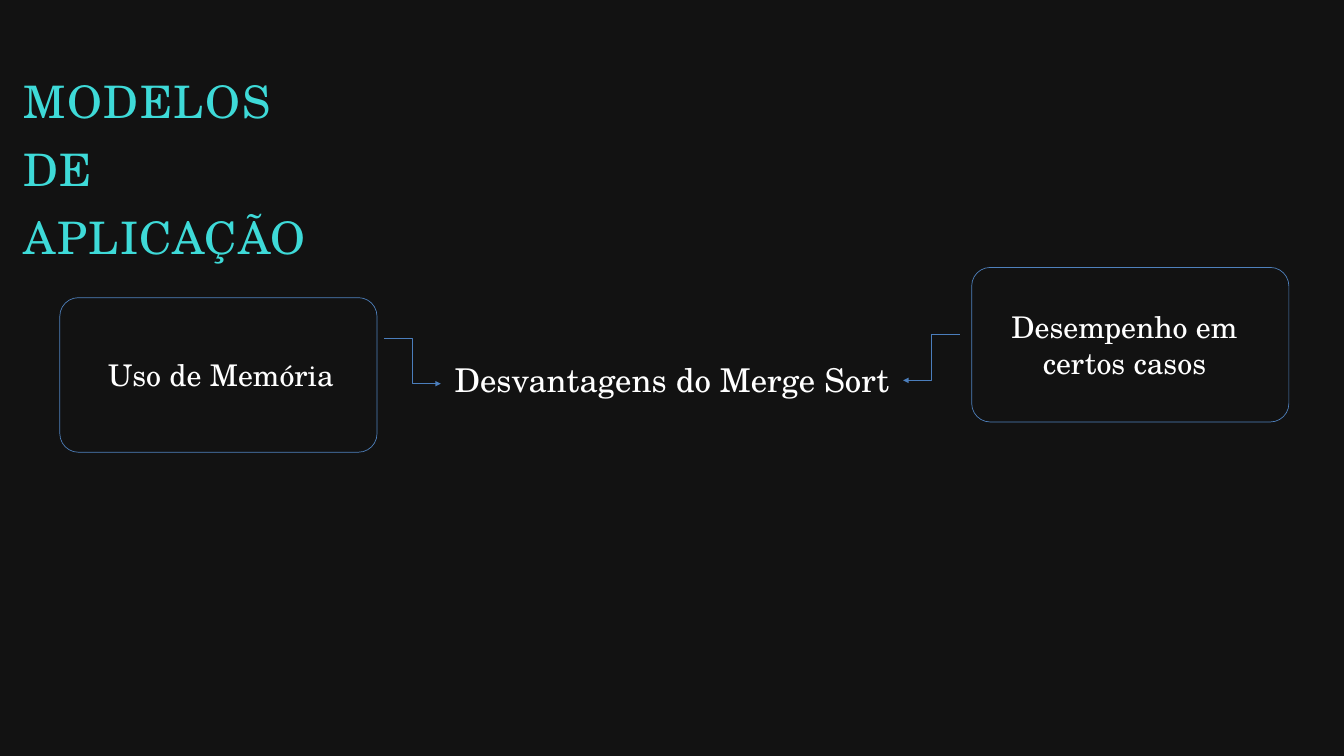
from lxml.etree import SubElement as Sub
from pptx import Presentation as Deck
from pptx.dml.color import RGBColor as Color
from pptx.enum.shapes import MSO_CONNECTOR as Link, MSO_SHAPE as Form
from pptx.enum.text import MSO_ANCHOR as Anchor, MSO_AUTO_SIZE as Fit, PP_ALIGN as Align
from pptx.oxml.ns import qn
from pptx.util import Inches, Pt

DARK = Color(0x12, 0x12, 0x12)
CYAN = Color(0x3E, 0xDA, 0xD8)
WHITE = Color(0xFF, 0xFF, 0xFF)
BLUE = Color(0x4F, 0x81, 0xBD)
STEEL = Color(0x4B, 0x7E, 0xBC)
FACE = "TeX Gyre Schola"

BARE = dict.fromkeys(("margin_left", "margin_top", "margin_right", "margin_bottom"), 0)
CARDS = [
    ((0.89, 4.43), (1.51, 5.26, 3.56, 0.64), "Uso de Memória", Align.LEFT),
    ((14.46, 3.98), (14.57, 4.54, 4.33, 1.18), "Desempenho em certos casos", Align.CENTER),
]
ARROWS = [(5.72, 5.03, 6.56, 5.71), (14.28, 4.98, 13.44, 5.66)]


def apply(item, vals):
    """Set each named value on the item."""
    for name, val in vals.items():
        setattr(item, name, val)


def write(shape, text, size, color, align, frame=None, lead=None):
    """Fill a shape with one formatted paragraph."""
    box = shape.text_frame
    apply(box, {"word_wrap": True, "auto_size": Fit.NONE,
                "vertical_anchor": Anchor.TOP, **(frame or {})})
    para = box.paragraphs[0]
    apply(para, {"alignment": align, "line_spacing": lead})
    run = para.add_run()
    run.text = text
    apply(run.font, {"name": FACE, "size": Pt(size), "bold": False})
    run.font.color.rgb = color
    return run


def title(slide):
    """Place the spaced heading in the title placeholder."""
    head = slide.shapes.title
    spot = zip(("left", "top", "width", "height"), (0.35, 0.88, 4.54, 1.99))
    apply(head, {name: Inches(val) for name, val in spot})
    run = write(head, "MODELOS DE APLICAÇÃO", 48, CYAN, Align.LEFT, BARE, Pt(73.1))
    run.font._element.set("spc", "170")


def label(slide, spot, *args):
    """Add a text box with one paragraph."""
    write(slide.shapes.add_textbox(*map(Inches, spot)), *args)


def card(slide, spot):
    """Add an outlined rounded box."""
    shape = slide.shapes.add_shape(
        Form.ROUNDED_RECTANGLE, *map(Inches, (*spot, 4.72, 2.3)))
    shape.adjustments[0] = 0.12
    shape.shadow.inherit = False
    shape.fill.background()
    shape.line.color.rgb = BLUE
    shape.line.width = Pt(0.75)


def arrow(slide, ends):
    """Add an elbow connector with an arrowhead."""
    link = slide.shapes.add_connector(Link.ELBOW, *map(Inches, ends))
    link.line.color.rgb = STEEL
    link.line.width = Pt(0.75)
    Sub(link.line._get_or_add_ln(), qn("a:tailEnd"), type="triangle")
    Sub(link._element.spPr, qn("a:effectLst"))


def main():
    """Build and save the slide."""
    deck = Deck()
    apply(deck, {"slide_width": Inches(20), "slide_height": Inches(11.25)})
    slide = deck.slides.add_slide(deck.slide_layouts[5])
    fill = slide.background.fill
    fill.solid()
    fill.fore_color.rgb = DARK
    label(slide, (6.74, 5.25, 6.52, 0.66), "Desvantagens do Merge Sort",
          35.1, WHITE, Align.CENTER, BARE, Pt(49.1))
    title(slide)
    for spot, area, text, align in CARDS:
        card(slide, spot)
        label(slide, area, text, 32, WHITE, align)
    for ends in ARROWS:
        arrow(slide, ends)
    deck.save("out.pptx")


if __name__ == "__main__":
    main()
